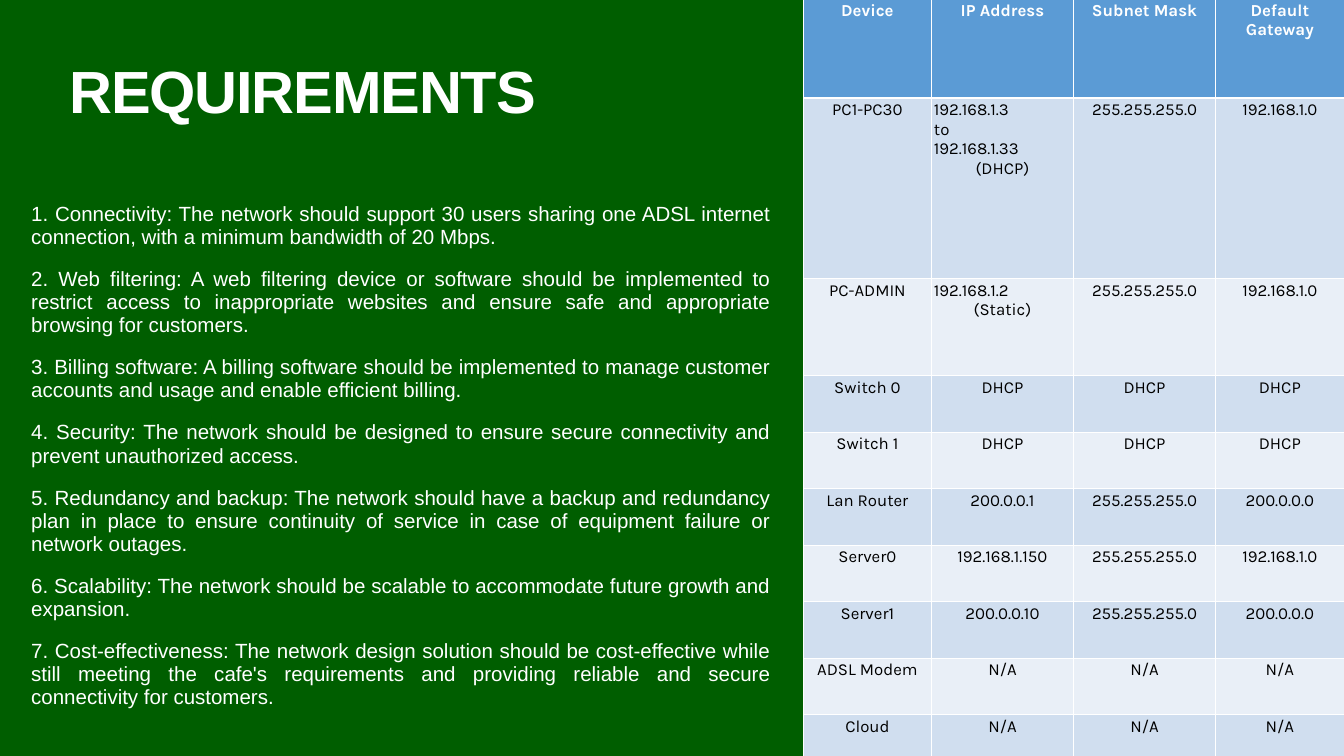
import pptx
import pptx.util
import pptx.dml.color
import pptx.enum.text
import pptx.oxml
import pptx.oxml.ns

Pt = pptx.util.Pt
Align = pptx.enum.text.PP_ALIGN
hues = {"green": "005E00", "white": "FFFFFF", "black": "000000",
        "head": "5B9BD5", "odd": "D0DEEF", "even": "E9EFF7"}


def tint(name):
    return pptx.dml.color.RGBColor.from_string(hues[name])


def write(frame, text, size=24, font="Arial", hue="white", bold=False, align=Align.LEFT,
          last=None, lead=None, gap=None, track=None, inset=4.32):
    frame.word_wrap = True
    frame.margin_left = frame.margin_right = Pt(inset)
    frame.margin_top = frame.margin_bottom = Pt(inset)
    lines = text.split("\n")
    for n, line in enumerate(lines):
        para = frame.add_paragraph() if n else frame.paragraphs[0]
        para.alignment = last if last and n == len(lines) - 1 else align
        if lead:
            para.line_spacing = lead
        if gap:
            para.space_before = Pt(gap)
        run = para.add_run()
        run.text = line
        run.font.size = Pt(size)
        run.font.name = font
        run.font.bold = bold
        run.font.color.rgb = tint(hue)
        if track:
            run._r.get_or_add_rPr().set("spc", str(track))


deck = pptx.Presentation()
deck.slide_width = Pt(1920)
deck.slide_height = Pt(1080)
slide = deck.slides.add_slide(deck.slide_layouts[6])
slide.background.fill.solid()
slide.background.fill.fore_color.rgb = tint("green")

title = slide.shapes.add_textbox(Pt(95), Pt(85), Pt(1730), Pt(113))
write(title.text_frame, "REQUIREMENTS", size=85, bold=True, lead=0.9, track=-170)

needs = [
    "1. Connectivity: The network should support 30 users sharing one ADSL internet connection, with a minimum bandwidth of 20 Mbps.",
    "2. Web filtering: A web filtering device or software should be implemented to restrict access to inappropriate websites and ensure safe and appropriate browsing for customers.",
    "3. Billing software: A billing software should be implemented to manage customer accounts and usage and enable efficient billing.",
    "4. Security: The network should be designed to ensure secure connectivity and prevent unauthorized access.",
    "5. Redundancy and backup: The network should have a backup and redundancy plan in place to ensure continuity of service in case of equipment failure or network outages.",
    "6. Scalability: The network should be scalable to accommodate future growth and expansion.",
    "7. Cost-effectiveness: The network design solution should be cost-effective while still meeting the cafe's requirements and providing reliable and secure connectivity for customers.",
]
body = slide.shapes.add_textbox(Pt(40.3), Pt(285), Pt(1064), Pt(749))
write(body.text_frame, "\n".join(needs), size=29.3, align=Align.JUSTIFY, lead=0.94, gap=27)

mask = "255.255.255.0"
rows = [
    ["Device", "IP Address", "Subnet Mask", "Default Gateway"],
    ["PC1-PC30", "192.168.1.3\nto\n192.168.1.33\n(DHCP)", mask, "192.168.1.0"],
    ["PC-ADMIN", "192.168.1.2\n(Static)", mask, "192.168.1.0"],
    ["Switch 0"] + ["DHCP"] * 3,
    ["Switch 1"] + ["DHCP"] * 3,
    ["Lan Router", "200.0.0.1", mask, "200.0.0.0"],
    ["Server0", "192.168.1.150", mask, "192.168.1.0"],
    ["Server1", "200.0.0.10", mask, "200.0.0.0"],
    ["ADSL Modem"] + ["N/A"] * 3,
    ["Cloud"] + ["N/A"] * 3,
]
wides = [182.9, 203, 203, 183.6]
talls = [141.8, 257.8, 139] + [80.7] * 7
grid = slide.shapes.add_table(len(rows), len(wides), Pt(1147.7), Pt(-2.2),
                              Pt(sum(wides)), Pt(sum(talls))).table
for col, wide in zip(grid.columns, wides):
    col.width = Pt(wide)
for row, tall in zip(grid.rows, talls):
    row.height = Pt(tall)

for r, texts in enumerate(rows):
    for c, text in enumerate(texts):
        cell = grid.cell(r, c)
        split = "\n" in text
        write(cell.text_frame, text, font="Karla", hue="black" if r else "white", bold=r == 0,
              align=Align.LEFT if split else Align.CENTER, last=Align.CENTER)
        cell.margin_left = cell.margin_right = Pt(3.6)
        cell.margin_top = cell.margin_bottom = Pt(3.6)
        props = cell._tc.get_or_add_tcPr()
        for side in "LRTB":
            thick = 3 if (r, side) in [(0, "B"), (1, "T")] else 1
            props.append(pptx.oxml.parse_xml(
                f'<a:ln{side} {pptx.oxml.ns.nsdecls("a")} w="{Pt(thick)}"><a:solidFill>'
                f'<a:srgbClr val="{hues["white"]}"/></a:solidFill></a:ln{side}>'))
        cell.fill.solid()
        cell.fill.fore_color.rgb = tint("head" if r == 0 else "odd" if r % 2 else "even")

deck.save("out.pptx")
